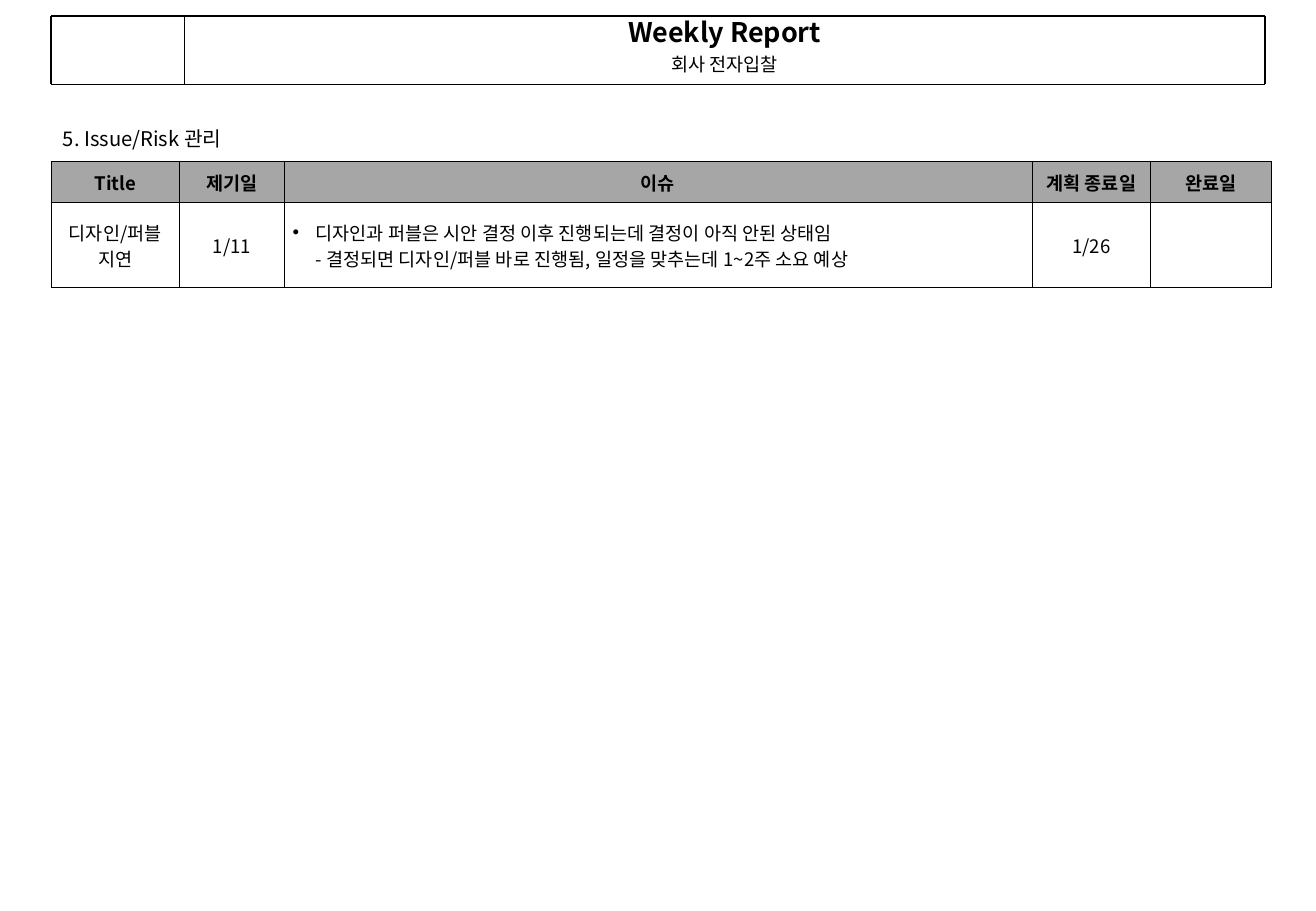
import pptx
import pptx.util
import pptx.dml.color
import pptx.enum.shapes
import pptx.enum.text
import pptx.oxml.ns
import lxml.etree

Inches, Pt = pptx.util.Inches, pptx.util.Pt
qn = pptx.oxml.ns.qn
ALIGN = pptx.enum.text.PP_ALIGN
ANCHOR = pptx.enum.text.MSO_ANCHOR
AUTO_SIZE = pptx.enum.text.MSO_AUTO_SIZE

FONT = "Noto Sans CJK KR"
COLORS = {"ink": "000000", "header": "A6A6A6"}

LEFT, RIGHT, DIVIDER = 0.42, 10.42, 1.52
TOP, BOTTOM = 0.13, 0.69

COLUMN_WIDTHS = [1.06, 0.86, 6.16, 0.98, 0.99]
ROW_HEIGHTS = [0.34, 0.7]
HEADINGS = ["Title", "제기일", "이슈", "계획 종료일", "완료일"]
ISSUE_COLUMN = 2
# Each cell is a list of paragraphs; each paragraph is a list of lines
ISSUE = [
    [["디자인/퍼블"], ["지연"]],
    [["1/11"]],
    [["디자인과 퍼블은 시안 결정 이후 진행되는데 결정이 아직 안된 상태임",
      "- 결정되면 디자인/퍼블 바로 진행됨, 일정을 맞추는데 1~2주 소요 예상"]],
    [["1/26"]],
    [],
]


def rgb(name):
    return pptx.dml.color.RGBColor.from_string(COLORS[name])


def add_run(p, text, size, bold=False):
    r = p.add_run()
    r.text = text
    r.font.size = Pt(size)
    r.font.bold = bold
    r.font.color.rgb = rgb("ink")
    r.font.name = FONT
    ea = lxml.etree.SubElement(r.font._element, qn("a:ea"))
    ea.set("typeface", FONT)


def add_text_box(s, left, top, width, height, inset_y):
    sp = s.shapes.add_textbox(Inches(left), Inches(top), Inches(width), Inches(height))
    tf = sp.text_frame
    tf.margin_left = tf.margin_right = Inches(0.1)
    tf.margin_top = tf.margin_bottom = Inches(inset_y)
    tf.word_wrap = True
    return tf


def add_line(s, x1, y1, x2, y2, width):
    line = s.shapes.add_connector(
        pptx.enum.shapes.MSO_CONNECTOR.STRAIGHT,
        Inches(x1), Inches(y1), Inches(x2), Inches(y2))
    line.line.color.rgb = rgb("ink")
    line.line.width = Pt(width)
    lxml.etree.SubElement(line._element.spPr, qn("a:effectLst"))


def add_bullet(p):
    pPr = p._p.get_or_add_pPr()
    pPr.set("marL", str(Inches(0.19)))
    pPr.set("indent", str(-Inches(0.19)))
    color = lxml.etree.SubElement(pPr, qn("a:buClr"))
    lxml.etree.SubElement(color, qn("a:srgbClr")).set("val", COLORS["ink"])
    lxml.etree.SubElement(pPr, qn("a:buFont")).set("typeface", "Arial")
    lxml.etree.SubElement(pPr, qn("a:buChar")).set("char", "•")


def set_borders(cell, width):
    tcPr = cell._tc.get_or_add_tcPr()
    for side in ("a:lnL", "a:lnR", "a:lnT", "a:lnB"):
        ln = lxml.etree.SubElement(tcPr, qn(side))
        ln.set("w", str(Pt(width)))
        fill = lxml.etree.SubElement(ln, qn("a:solidFill"))
        lxml.etree.SubElement(fill, qn("a:srgbClr")).set("val", COLORS["ink"])


def fill_cell(cell, paragraphs, is_header=False, bulleted=False):
    cell.vertical_anchor = ANCHOR.MIDDLE
    cell.margin_left = cell.margin_right = Inches(0.07)
    cell.margin_top = cell.margin_bottom = Inches(0.05)
    set_borders(cell, 0.45)
    if is_header:
        cell.fill.solid()
        cell.fill.fore_color.rgb = rgb("header")
    else:
        cell.fill.background()

    tf = cell.text_frame
    for i, lines in enumerate(paragraphs):
        p = tf.add_paragraph() if i else tf.paragraphs[0]
        if bulleted:
            add_bullet(p)
        else:
            p.alignment = ALIGN.CENTER
        for j, text in enumerate(lines):
            if j:
                p.add_line_break()
            add_run(p, text, 11, is_header)


def add_report_header(s):
    tf = add_text_box(s, DIVIDER, TOP, RIGHT - DIVIDER, BOTTOM - TOP, 0)
    p = tf.paragraphs[0]
    p.alignment = ALIGN.CENTER
    add_run(p, "Weekly Report", 16, True)
    p = tf.add_paragraph()
    p.alignment = ALIGN.CENTER
    p.space_before = Pt(2.8)
    add_run(p, "회사 전자입찰", 11)

    for x, width in ((DIVIDER, 0.25), (LEFT, 1.5), (RIGHT, 1.5)):
        add_line(s, x, TOP, x, BOTTOM, width)
    for y, width in ((TOP, 1.5), (BOTTOM, 0.25)):
        add_line(s, LEFT, y, RIGHT, y, width)


def add_section_title(s, text):
    tf = add_text_box(s, LEFT, 0.99, 1.6, 0.3, 0.05)
    tf.word_wrap = False
    tf.auto_size = AUTO_SIZE.SHAPE_TO_FIT_TEXT
    add_run(tf.paragraphs[0], text, 12)


def add_issue_table(s):
    table = s.shapes.add_table(
        len(ROW_HEIGHTS), len(COLUMN_WIDTHS), Inches(LEFT), Inches(1.33),
        Inches(sum(COLUMN_WIDTHS)), Inches(sum(ROW_HEIGHTS))).table
    table.horz_banding = False
    for row, height in zip(table.rows, ROW_HEIGHTS):
        row.height = Inches(height)
    for i, width in enumerate(COLUMN_WIDTHS):
        table.columns[i].width = Inches(width)
        fill_cell(table.cell(0, i), [[HEADINGS[i]]], is_header=True)
        fill_cell(table.cell(1, i), ISSUE[i], bulleted=i == ISSUE_COLUMN)


def main():
    prs = pptx.Presentation()
    prs.slide_width, prs.slide_height = Inches(10.84), Inches(7.5)
    s = prs.slides.add_slide(prs.slide_layouts[6])

    add_report_header(s)
    add_section_title(s, "5. Issue/Risk 관리")
    add_issue_table(s)

    prs.save("out.pptx")


if __name__ == "__main__":
    main()
